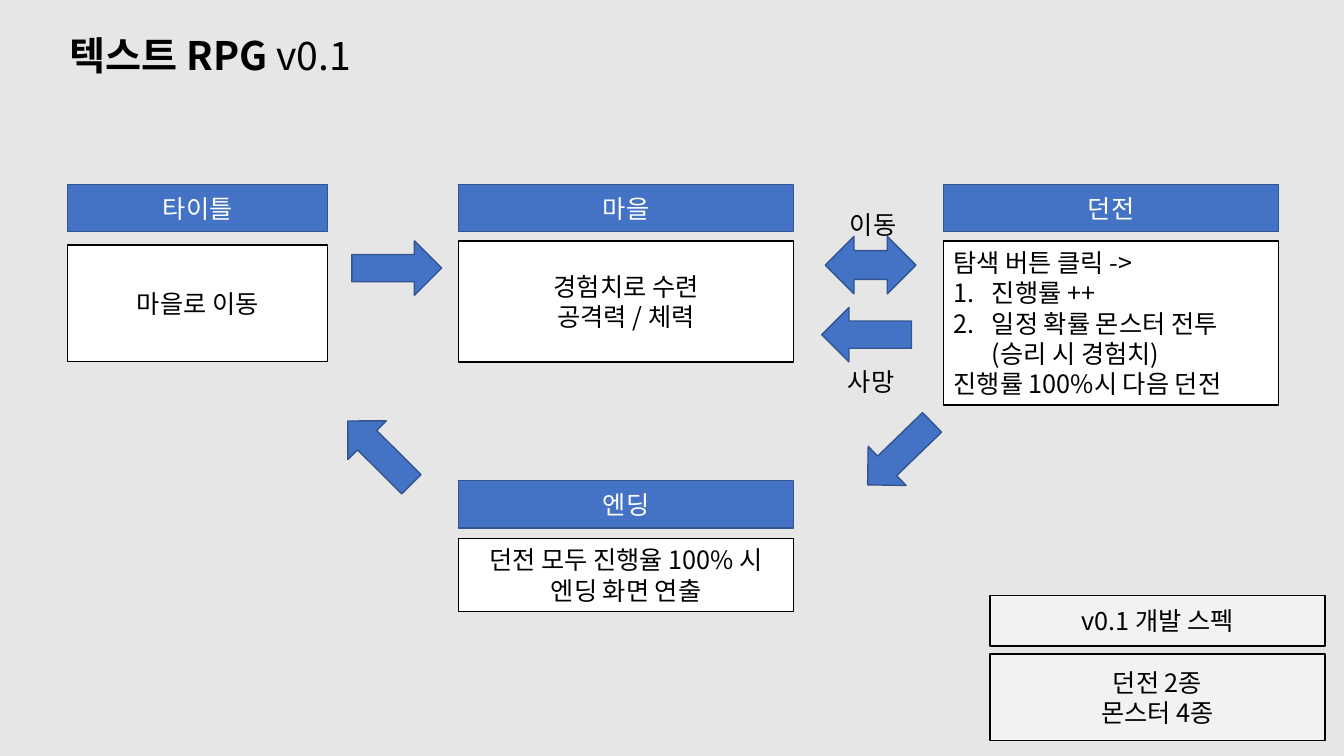
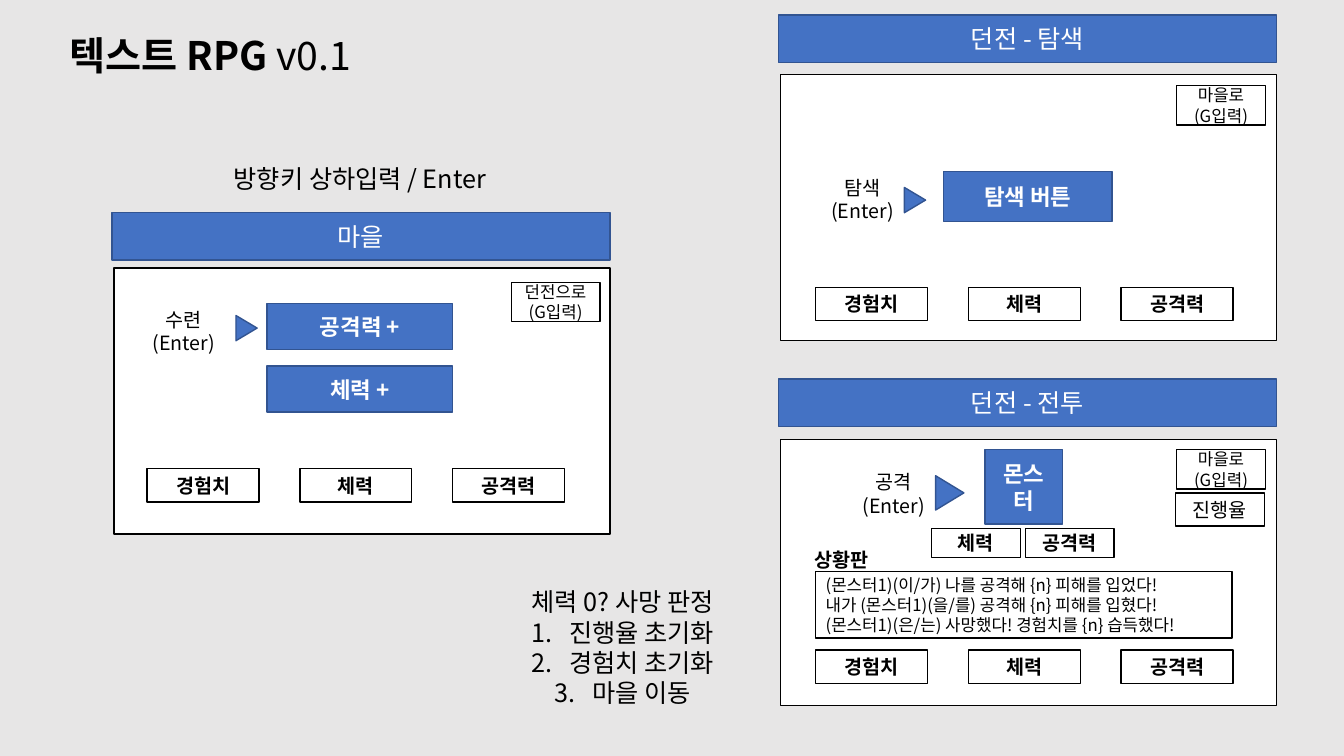
"""Build two planning slides for a text RPG: scene flow and screen layouts."""
from lxml import etree
from pptx import Presentation
from pptx.dml.color import RGBColor
from pptx.enum import shapes, text
from pptx.oxml import ns
from pptx.util import Inches, Pt

FONT = "Noto Sans CJK KR"
BLACK = RGBColor(0x00, 0x00, 0x00)
WHITE = RGBColor(0xFF, 0xFF, 0xFF)
BLUE = RGBColor(0x44, 0x72, 0xC4)
NAVY = RGBColor(0x32, 0x54, 0x91)
PALE = RGBColor(0xF2, 0xF2, 0xF2)
GREY = RGBColor(0xE7, 0xE6, 0xE6)
LOOKS = {
    "blue": (BLUE, NAVY, WHITE),
    "white": (WHITE, BLACK, BLACK),
    "pale": (PALE, BLACK, BLACK),
    "clear": (None, BLACK, BLACK),
}
KIND = shapes.MSO_SHAPE
MID, LEFT = text.PP_ALIGN.CENTER, text.PP_ALIGN.LEFT

TITLE = [("텍스트 RPG ", True), ("v0.1", False)]
BAR = 0.47
WIDE = 3.32
COLS = {"start": (0.67, 2.58), "mid": (4.55, WIDE), "end": (9.36, WIDE)}
ROWS = {"top": 1.83, "low": 4.77}

# Lines that begin with "#" are numbered.
SCENES = [
    ("start", "top", "타이틀", 0.6, 1.16, ["마을로 이동"], MID),
    ("mid", "top", "마을", 0.56, 1.2, ["경험치로 수련", "공격력 / 체력"], MID),
    ("end", "top", "던전", 0.56, 1.63,
     ["탐색 버튼 클릭 ->", "#진행률 ++", "#일정 확률 몬스터 전투 (승리 시 경험치)",
      "진행률 100%시 다음 던전"], LEFT),
    ("mid", "low", "엔딩", 0.57, 0.73, ["던전 모두 진행율 100% 시", "엔딩 화면 연출"], MID),
]
SPECS = [
    (5.91, 0.5, ["v0.1 개발 스펙"]),
    (6.49, 0.86, ["던전 2종", "몬스터 4종"]),
]
ARROWS = [(3.49, 2.39, 0), (8.15, 3.05, 180), (8.48, 4.23, 135.9), (3.32, 4.22, 224.8)]
MOVES = [(8.04, 2.03, "이동"), (8.02, 3.58, "사망")]

STATS = ["경험치", "체력", "공격력"]
STEP = 1.515
SCREENS = [
    {"name": "마을", "bar": (1.11, 2.11), "pane": 2.66, "stats": (1.46, 4.65),
     "exit": (5.07, 2.8, "던전으로"), "cue": (1.31, 2.99, "수련"),
     "mark": (2.32, 3.15, 0.25, 0.21),
     "keys": [((2.65, 3.01, 1.84, 0.46), "공격력 +"), ((2.65, 3.63, 1.84, 0.46), "체력 +")]},
    {"name": "던전 - 탐색", "bar": (7.72, 0.15), "pane": 0.74, "stats": (8.09, 2.85),
     "exit": (11.67, 0.85, "마을로"), "cue": (8.04, 1.68, "탐색"),
     "mark": (8.95, 1.88, 0.25, 0.21),
     "keys": [((9.36, 1.7, 1.67, 0.5), "탐색 버튼")]},
    {"name": "던전 - 전투", "bar": (7.72, 3.76), "pane": 4.36, "stats": (8.09, 6.45),
     "exit": (11.67, 4.46, "마을로"), "cue": (8.35, 4.6, "공격"),
     "mark": (9.25, 4.75, 0.34, 0.28),
     "keys": [((9.77, 4.46, 0.77, 0.74), "몬스터")]},
]
FOE = [(9.24, "체력"), (10.17, "공격력")]
LOG = [
    "(몬스터1)(이/가) 나를 공격해 {n} 피해를 입었다!",
    "내가 (몬스터1)(을/를) 공격해 {n} 피해를 입혔다!",
    "(몬스터1)(은/는) 사망했다! 경험치를 {n} 습득했다!",
]
DEATH = ["체력 0? 사망 판정", "#진행율 초기화", "#경험치 초기화", "#마을 이동"]


def put(para, words, size, ink, bold):
    run = para.add_run()
    run.text = words
    font = run.font
    font.name, font.size, font.bold = FONT, Pt(size), bold
    font.color.rgb = ink
    props = run._r.get_or_add_rPr()
    etree.SubElement(props, ns.qn("a:ea")).set("typeface", FONT)


def number(para):
    props = para._p.get_or_add_pPr()
    props.set("marL", str(Inches(0.38)))
    props.set("indent", str(Inches(-0.38)))
    etree.SubElement(props, ns.qn("a:buFont")).set("typeface", FONT)
    etree.SubElement(props, ns.qn("a:buAutoNum")).set("type", "arabicPeriod")


def write(shape, lines, size=18, ink=BLACK, bold=False, align=MID):
    frame = shape.text_frame
    frame.word_wrap = True
    frame.vertical_anchor = text.MSO_ANCHOR.MIDDLE
    for i, line in enumerate(lines):
        para = frame.add_paragraph() if i else frame.paragraphs[0]
        para.alignment = align
        if line.startswith("#"):
            number(para)
        put(para, line.removeprefix("#"), size, ink, bold)


def form(slide, kind, at, look="blue", turn=0):
    shape = slide.shapes.add_shape(kind, *map(Inches, at))
    fill, line, _ = LOOKS[look]
    shape.shadow.inherit = False
    if fill is None:
        shape.fill.background()
    else:
        shape.fill.solid()
        shape.fill.fore_color.rgb = fill
    shape.line.color.rgb = line
    shape.line.width = Pt(1)
    shape.rotation = turn
    return shape


def box(slide, at, lines=(), look="blue", **style):
    shape = form(slide, KIND.RECTANGLE, at, look)
    write(shape, lines, ink=LOOKS[look][2], **style)


def label(slide, at, lines, **style):
    write(slide.shapes.add_textbox(*map(Inches, at)), lines, **style)


def start(deck):
    slide = deck.slides.add_slide(deck.slide_layouts[6])
    slide.background.fill.solid()
    slide.background.fill.fore_color.rgb = GREY
    frame = slide.shapes.add_textbox(*map(Inches, (0.51, 0.26, 3.15, 0.57))).text_frame
    frame.word_wrap = False
    frame.auto_size = text.MSO_AUTO_SIZE.SHAPE_TO_FIT_TEXT
    para = frame.paragraphs[0]
    para.alignment = MID
    for words, bold in TITLE:
        put(para, words, 28, BLACK, bold)
    return slide


def flow(slide):
    for col, row, name, drop, high, lines, align in SCENES:
        (x, wide), y = COLS[col], ROWS[row]
        box(slide, (x, y, wide, BAR), [name])
        box(slide, (x, y + drop, wide, high), lines, "white", align=align)
    for y, high, lines in SPECS:
        box(slide, (9.82, y, WIDE, high), lines, "pale")
    for x, y, turn in ARROWS:
        form(slide, KIND.RIGHT_ARROW, (x, y, 0.89, 0.54), turn=turn)
    form(slide, KIND.UP_DOWN_ARROW, (8.35, 2.18, 0.57, 0.9), turn=90)
    for x, y, name in MOVES:
        label(slide, (x, y, 1.24, 0.4), [name])


def screen(slide, part):
    x, y = part["bar"]
    box(slide, (x, y, 4.94, BAR), [part["name"]])
    box(slide, (x + 0.02, part["pane"], 4.92, 2.64), look="white")
    x, y = part["stats"]
    for i, stat in enumerate(STATS):
        box(slide, (x + i * STEP, y, 1.11, 0.33), [stat], "clear", size=14, bold=True)
    x, y, name = part["exit"]
    box(slide, (x, y, 0.88, 0.39), [name, "(G입력)"], "clear", size=12)
    x, y, name = part["cue"]
    label(slide, (x, y, 1.03, 0.59), [name, "(Enter)"], size=14)
    form(slide, KIND.FLOWCHART_EXTRACT, part["mark"], turn=90)
    for at, name in part["keys"]:
        box(slide, at, [name], size=16, bold=True)


def views(slide):
    for part in SCREENS:
        screen(slide, part)
    for x, name in FOE:
        box(slide, (x, 5.24, 0.88, 0.29), [name], "clear", size=14, bold=True)
    box(slide, (11.66, 4.89, 0.88, 0.33), ["진행율"], "clear", size=14)
    box(slide, (8.09, 5.67, 4.13, 0.66), LOG, "clear", size=12, align=LEFT)
    label(slide, (7.81, 5.38, 1.07, 0.34), ["상황판"], size=14, bold=True)
    label(slide, (4.75, 5.83, 2.85, 1.18), DEATH)
    label(slide, (1.8, 1.53, 3.54, 0.48), ["방향키 상하입력 / Enter"])


deck = Presentation()
deck.slide_width, deck.slide_height = Inches(13.33), Inches(7.5)
for draw in (flow, views):
    draw(start(deck))
deck.save("out.pptx")
